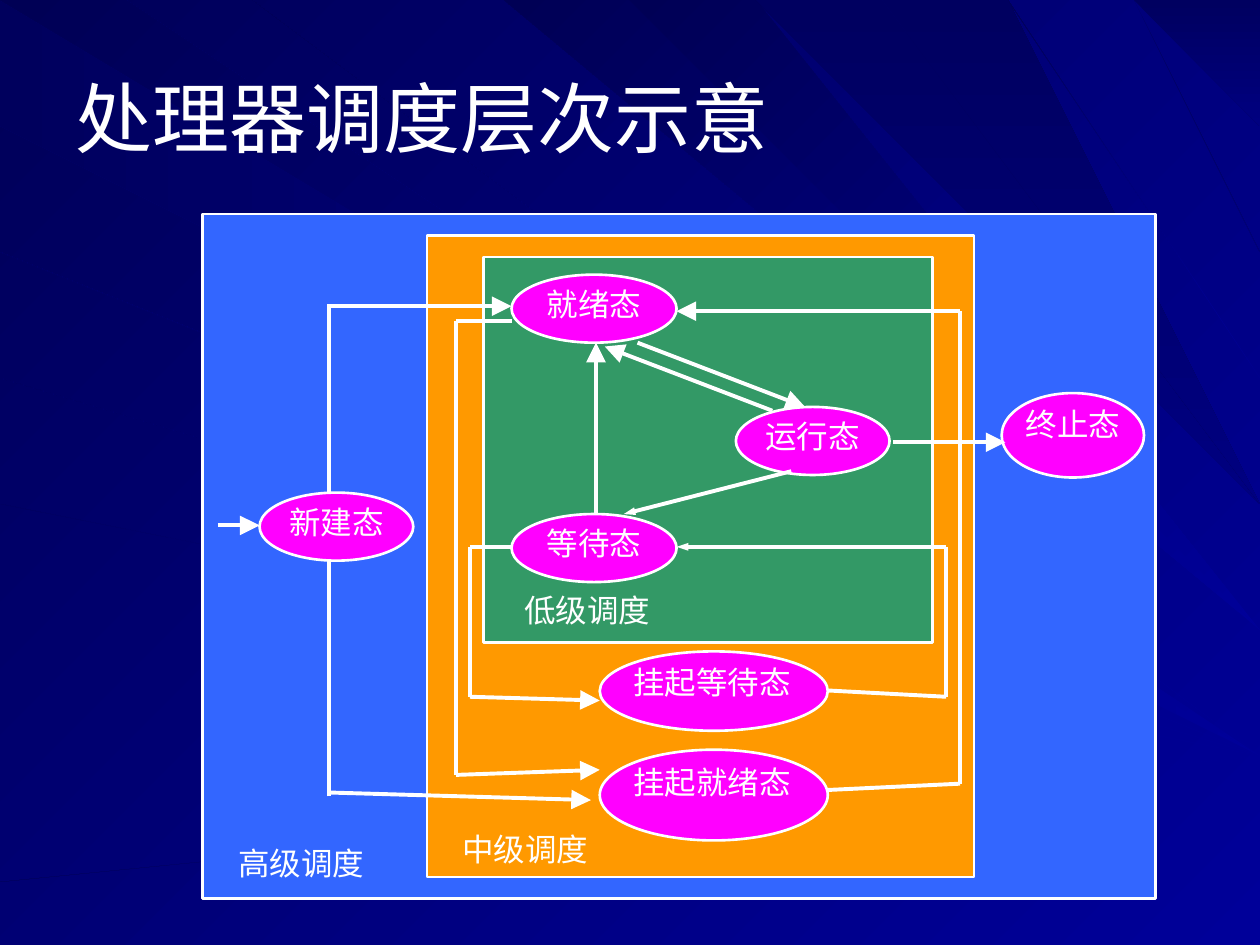
from dataclasses import dataclass
from itertools import pairwise

from lxml import etree
from pptx import Presentation
from pptx.dml.color import RGBColor
from pptx.enum import shapes, text
from pptx.oxml import ns
from pptx.util import Inches, Pt


@dataclass(frozen=True)
class Theme:
    white: str = "FFFFFF"
    state: str = "FF00FF"
    high: str = "3366FF"
    middle: str = "FF9900"
    low: str = "339966"
    # Gradients: first colour, last colour, clockwise angle
    background: tuple = ("000099", "000058", 225)
    side_ray: tuple = ("000099", "00005D", 180)
    top_ray: tuple = ("000099", "000055", 225)
    dark_ray: tuple = ("000060", "000080", 90)
    latin: str = "Arial"
    chinese: str = "Noto Sans CJK SC"
    title_size: int = 44
    label_size: int = 18
    outline: float = 1.5
    arrow: float = 2.25


THEME = Theme()
WIDTH, HEIGHT = 10, 7.5

# Rays run from a stretch of the left or top edge to a height on the right edge
SIDE_RAYS = [(0, 0.9, 5.7), (1.6, 2.3, 5.8), (2.8, 3.4, 6), (3.7, 4.4, 6.1),
             (5.5, 5.6, 6.2), (6, 6.2, 6.3), (6.7, 7, 6.5)]
TOP_RAYS = [(0.3, 1, 5.6), (2.3, 2.5, 5.5), (4, 4.2, 5.2), (4.3, 4.9, 4.9),
            (5.4, 5.5, 4.6), (5.8, 5.9, 4.5), (7.8, 7.9, 3.6), (8.2, 8.3, 3.4)]
DARK_RAYS = [(6.1, 6.6, 4.5), (6.9, 7.7, 4.1), (8.9, 9.3, 2.1), (9.4, 9.6, 1.4)]

PANELS = [
    (THEME.high, (1.61, 1.7, 7.56, 5.43)),
    (THEME.middle, (3.39, 1.87, 4.34, 5.09)),
    (THEME.low, (3.84, 2.04, 3.56, 3.06)),
]
LABEL_WIDTH, LABEL_HEIGHT = 1.2, 0.34
PANEL_LABELS = [("高级调度", 1.79, 6.7), ("中级调度", 3.57, 6.59), ("低级调度", 4.06, 4.69)]

STATES = {
    "新建态": (2.06, 3.91, 1.22, 0.54),
    "就绪态": (4.06, 2.18, 1.31, 0.54),
    "运行态": (5.84, 3.23, 1.22, 0.54),
    "等待态": (4.06, 4.08, 1.31, 0.54),
    "终止态": (7.95, 3.12, 1.13, 0.67),
    "挂起等待态": (4.76, 5.17, 1.81, 0.63),
    "挂起就绪态": (4.76, 5.95, 1.81, 0.72),
}
# Arrowhead width and length
LARGE, SMALL = ("lg", "lg"), ("sm", "med")
TRUNK_X = 2.61
NEW_STATE_TRUNK = [(TRUNK_X, 6.32), (TRUNK_X, 2.41)]
DIRECT = [
    (LARGE, [(1.73, 4.17), (2.06, 4.17)]),
    (LARGE, [(TRUNK_X, 2.43), (4.06, 2.43)]),
    (LARGE, [(TRUNK_X, 6.29), (4.69, 6.35)]),
    (LARGE, [(4.73, 4.08), (4.73, 2.72)]),
    (SMALL, [(6.28, 3.74), (4.95, 4.08)]),
    (LARGE, [(6.13, 3.26), (4.8, 2.75)]),
    (LARGE, [(5.06, 2.72), (6.39, 3.23)]),
    (LARGE, [(7.09, 3.51), (7.98, 3.51)]),
]
# Arrowhead, source, target, lane x, heights: leaving, first turn, second turn, arriving
LOOPS = [
    (LARGE, "等待态", "挂起等待态", 3.73, (4.34, 4.34, 5.53, 5.56)),
    (LARGE, "就绪态", "挂起就绪态", 3.62, (2.55, 2.55, 6.15, 6.11)),
    (SMALL, "挂起等待态", "等待态", 7.51, (5.48, 5.53, 4.34, 4.34)),
    (LARGE, "挂起就绪态", "就绪态", 7.62, (6.27, 6.22, 2.47, 2.47)),
]


def rgb(color):
    return RGBColor.from_string(color)


def fill_gradient(fill, first, last, clockwise_angle):
    fill.gradient()
    fill.gradient_angle = 360 - clockwise_angle
    for stop, color in zip(fill.gradient_stops, (first, last)):
        stop.color.rgb = rgb(color)


def write(frame, content, *, size=THEME.label_size, font=THEME.latin,
          align=text.PP_ALIGN.CENTER, anchor=text.MSO_ANCHOR.TOP, margin=0):
    frame.word_wrap = True
    frame.vertical_anchor = anchor
    if margin is not None:
        frame.margin_left = frame.margin_right = Inches(margin)
        frame.margin_top = frame.margin_bottom = Inches(margin)
    paragraph = frame.paragraphs[0]
    paragraph.alignment = align
    run = paragraph.add_run()
    run.text = content
    run.font.size = Pt(size)
    run.font.color.rgb = rgb(THEME.white)
    run.font.name = font
    east_asian = etree.SubElement(run._r.get_or_add_rPr(), ns.qn("a:ea"))
    east_asian.set("typeface", THEME.chinese)


def add_ray(slide, gradient, points):
    builder = slide.shapes.build_freeform(*points[0], scale=Inches(1))
    builder.add_line_segments(points[1:], close=True)
    shape = builder.convert_to_shape()
    shape.shadow.inherit = False
    shape.line.fill.background()
    fill_gradient(shape.fill, *gradient)
    return shape


def add_rays(slide):
    """Draw all rays and return the front one."""
    for start, end, tip in SIDE_RAYS:
        add_ray(slide, THEME.side_ray, [(0, start), (0, end), (WIDTH, tip)])
    for gradient, rays in ((THEME.top_ray, TOP_RAYS), (THEME.dark_ray, DARK_RAYS)):
        for start, end, tip in rays:
            front = add_ray(slide, gradient, [(start, 0), (end, 0), (WIDTH, tip)])
    return front


def add_box(slide, preset, color, place):
    shape = slide.shapes.add_shape(preset, *map(Inches, place))
    shape.shadow.inherit = False
    shape.fill.solid()
    shape.fill.fore_color.rgb = rgb(color)
    shape.line.color.rgb = rgb(THEME.white)
    shape.line.width = Pt(THEME.outline)
    return shape


def add_route(slide, points, head=None):
    """Join the points with straight lines, with an arrowhead at the last one."""
    for start, end in pairwise(points):
        line = slide.shapes.add_connector(
            shapes.MSO_CONNECTOR.STRAIGHT, *map(Inches, start + end))
        line.line.color.rgb = rgb(THEME.white)
        line.line.width = Pt(THEME.arrow)
        etree.SubElement(line.element.spPr, ns.qn("a:effectLst"))
    if head:
        width, length = head
        etree.SubElement(line.line._get_or_add_ln(), ns.qn("a:tailEnd"),
                         type="triangle", w=width, len=length)


def side_toward(name, lane):
    """Give the x of the state's edge that faces the lane."""
    left, _, width, _ = STATES[name]
    return left if lane < left else left + width


def add_loop(slide, head, source, target, lane, heights):
    columns = (side_toward(source, lane), lane, lane, side_toward(target, lane))
    add_route(slide, list(zip(columns, heights)), head)


def add_title(slide, content):
    title = slide.shapes.title
    title.left, title.top, title.width, title.height = map(Inches, (0.5, 0.3, 9, 1.25))
    write(title.text_frame, content, size=THEME.title_size, align=text.PP_ALIGN.LEFT,
          anchor=text.MSO_ANCHOR.MIDDLE, margin=None)
    return title


def main():
    presentation = Presentation()
    presentation.slide_width, presentation.slide_height = Inches(WIDTH), Inches(HEIGHT)
    slide = presentation.slides.add_slide(presentation.slide_layouts[5])
    fill_gradient(slide.background.fill, *THEME.background)

    front_ray = add_rays(slide)
    title = add_title(slide, "处理器调度层次示意")
    front_ray.element.addnext(title.element)  # the title stands in front of the rays

    for color, place in PANELS:
        add_box(slide, shapes.MSO_SHAPE.RECTANGLE, color, place)
    for label, left, top in PANEL_LABELS:
        place = (left, top, LABEL_WIDTH, LABEL_HEIGHT)
        box = slide.shapes.add_textbox(*map(Inches, place))
        write(box.text_frame, label, font=THEME.chinese)
    add_route(slide, NEW_STATE_TRUNK)
    for name, place in STATES.items():
        state = add_box(slide, shapes.MSO_SHAPE.OVAL, THEME.state, place)
        suspended = name.startswith("挂起")
        write(state.text_frame, name,
              align=text.PP_ALIGN.LEFT if suspended else text.PP_ALIGN.CENTER)
    for head, points in DIRECT:
        add_route(slide, points, head)
    for loop in LOOPS:
        add_loop(slide, *loop)

    presentation.save("out.pptx")


if __name__ == "__main__":
    main()
